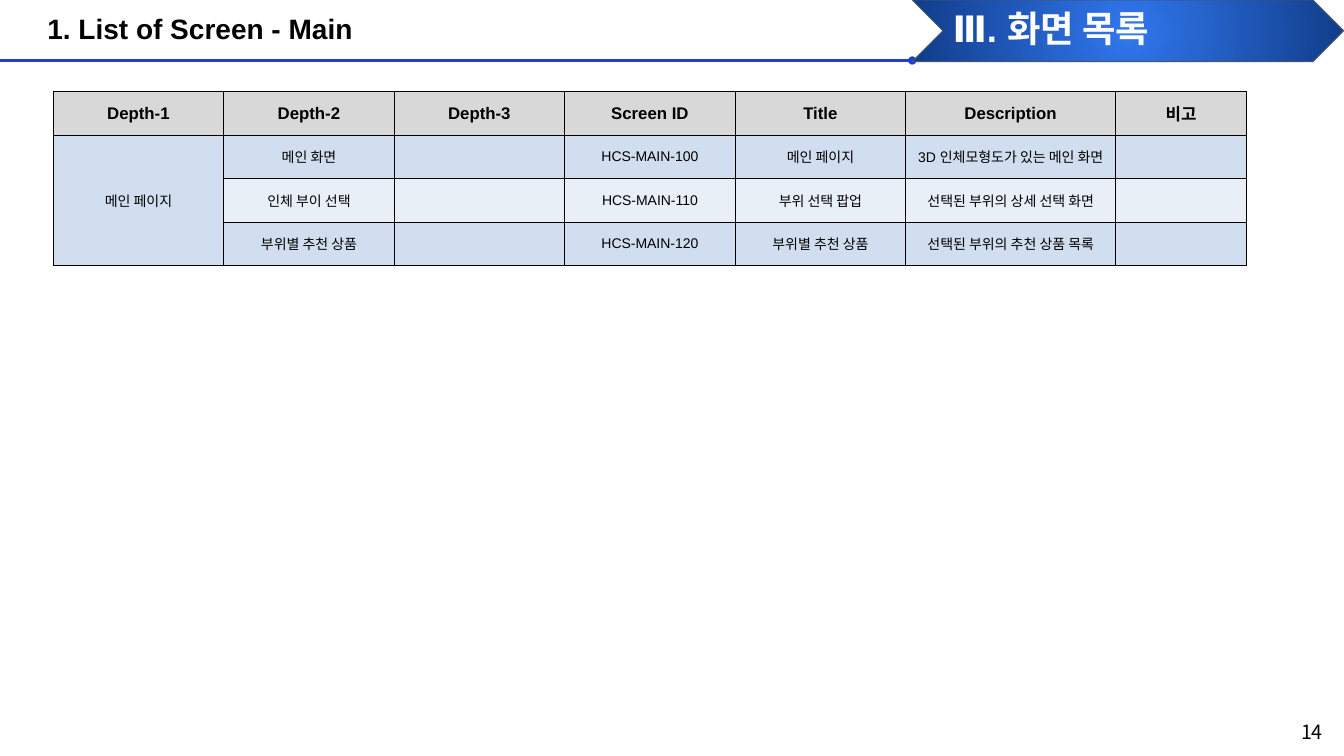
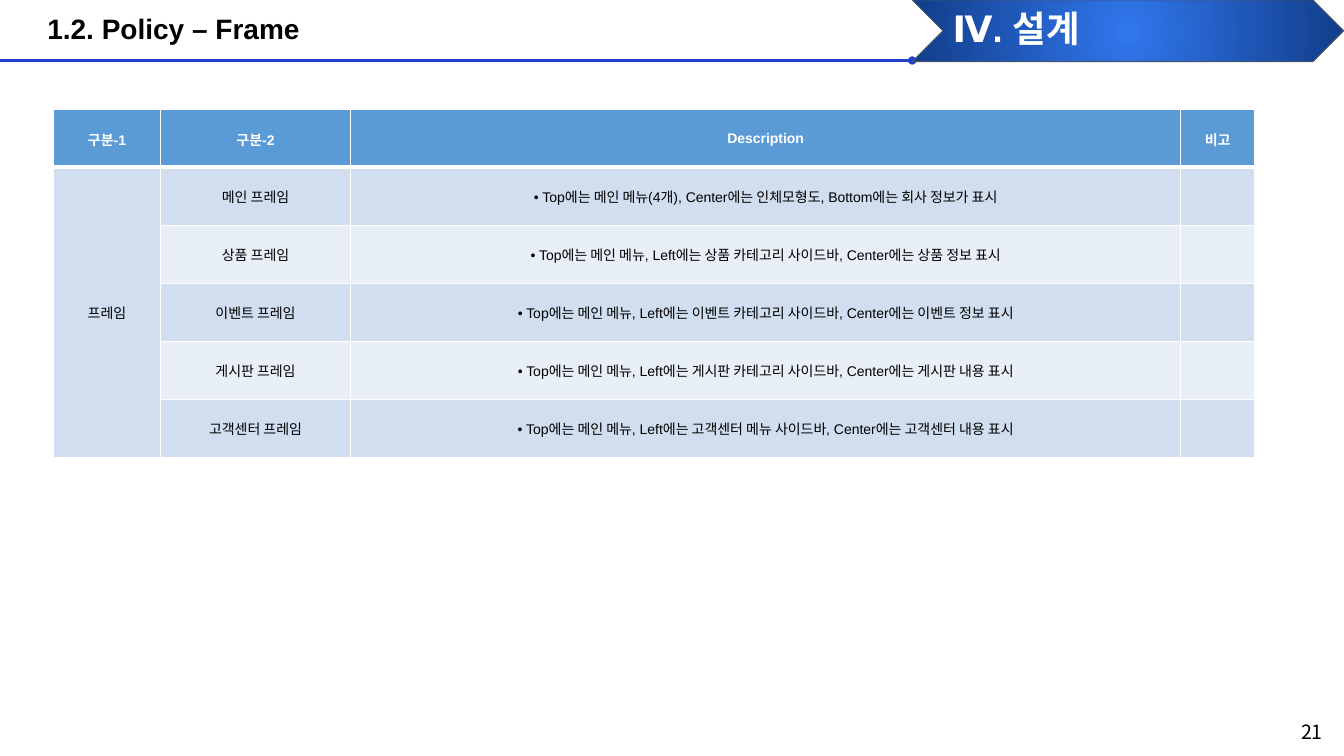
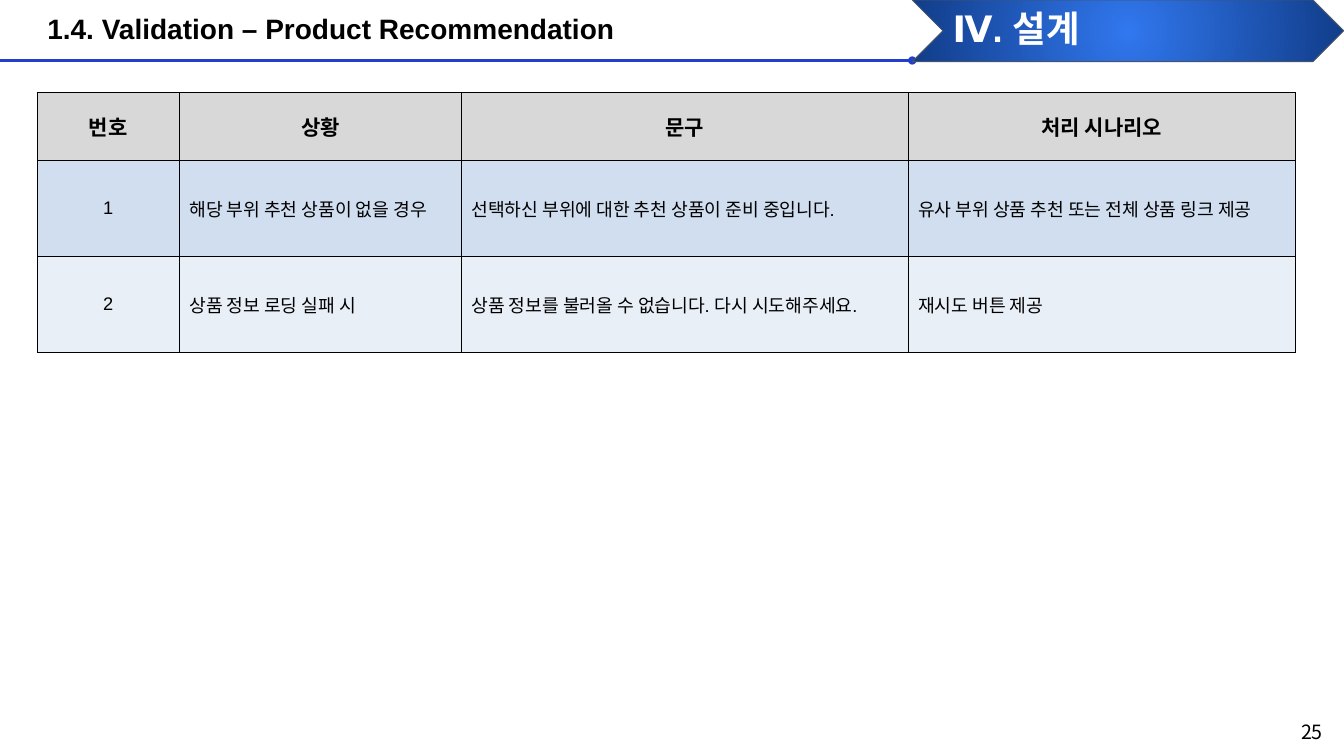
import dataclasses

import lxml.etree
import pptx
import pptx.dml.color
import pptx.enum.shapes
import pptx.enum.text
import pptx.oxml.ns
import pptx.util

Pt = pptx.util.Pt
RGB = pptx.dml.color.RGBColor.from_string
qn = pptx.oxml.ns.qn
Align = pptx.enum.text.PP_ALIGN
Middle = pptx.enum.text.MSO_ANCHOR.MIDDLE


@dataclasses.dataclass(frozen=True)
class Theme:
    latin: str = "Arial"
    asian: str = "Noto Sans CJK KR"
    black: str = "000000"
    white: str = "FFFFFF"
    rule: str = "213FCC"
    glow: str = "3177EE"
    deep: str = "113D8A"
    slate: str = "44546A"
    grey: str = "D8D8D8"
    blue: str = "5B9BD5"
    odd: str = "D0DEEF"
    even: str = "E9EFF7"
    title: int = 20
    mark: int = 26
    page: int = 14


T = Theme()


@dataclasses.dataclass(frozen=True)
class Look:
    head: int
    body: int
    fill: str = T.grey
    ink: str = T.black
    line: str = T.black
    thin: float = 0.75
    thick: float = 0.75
    pad: float = 3.6
    lead: float = 1.0
    left: tuple = ()
    span: bool = False


def add(node, tag, **attrs):
    return lxml.etree.SubElement(node, qn(tag), attrs)


def style(para, size, ink, bold=False, align=Align.LEFT, face=T.latin):
    para.alignment = align
    font = para.font
    font.name, font.size, font.bold = face, Pt(size), bold
    font.color.rgb = RGB(ink)
    add(para._p.pPr.find(qn("a:defRPr")), "a:ea", typeface=T.asian)


def place(shape, left, top, width, height):
    shape.left, shape.top = Pt(left), Pt(top)
    shape.width, shape.height = Pt(width), Pt(height)


def frame(layout):
    for hold in list(layout.placeholders):
        if hold.placeholder_format.idx >= 10:
            hold.element.getparent().remove(hold.element)
    title, mark = layout.placeholders
    place(title, 26.6, 0, 625, 43.2)
    place(mark, 673.2, 0, 286.6, 43.2)


def band(slide, left, width, height):
    rule = slide.shapes.add_connector(
        pptx.enum.shapes.MSO_CONNECTOR.STRAIGHT, 0, Pt(43.2), Pt(left), Pt(43.2))
    rule.line.color.rgb = RGB(T.rule)
    rule.line.width = Pt(1.5)
    props = rule.element.spPr
    add(props.find(qn("a:ln")), "a:tailEnd", type="oval")
    add(props, "a:effectLst")

    arrow = slide.shapes.add_shape(
        pptx.enum.shapes.MSO_SHAPE.CHEVRON, Pt(left), 0, Pt(width), Pt(height))
    arrow.shadow.inherit = False
    arrow.adjustments[0] = 0.5
    arrow.line.color.rgb = RGB(T.slate)
    arrow.line.width = Pt(0.75)
    arrow.fill.gradient()
    for stop, tone in zip(arrow.fill.gradient_stops, (T.glow, T.deep)):
        stop.color.rgb = RGB(tone)
    grad = arrow.element.spPr.find(qn("a:gradFill"))
    grad.remove(grad.find(qn("a:lin")))
    ring = add(grad, "a:path", path="circle")
    add(ring, "a:fillToRect", l="50000", t="50000", r="50000", b="50000")

    tree = slide.slide_layout.shapes.element
    for spot, shape in enumerate((rule, arrow), 2):
        tree.insert(spot, shape.element)


def label(hold, text, size, ink):
    body = hold.text_frame
    body.text = text
    body.auto_size = pptx.enum.text.MSO_AUTO_SIZE.NONE
    body.vertical_anchor = Middle
    para = body.paragraphs[0]
    para.line_spacing = 0.9
    para.space_before = Pt(0)
    props = para._p.get_or_add_pPr()
    props.set("marL", "0")
    props.set("indent", "0")
    add(props, "a:buNone")
    style(para, size, ink, True)


def number(slide, page):
    box = slide.shapes.add_textbox(Pt(922.3), Pt(510.5), Pt(37.7), Pt(24.5))
    box.text_frame.word_wrap = True
    box.text_frame.text = str(page)
    style(box.text_frame.paragraphs[0], T.page, T.black, face=T.asian)


def edge(cell, look, top, low):
    props = cell._tc.get_or_add_tcPr()
    for side, width in zip("LRTB", (look.thin, look.thin, top, low)):
        line = add(props, "a:ln" + side, w=str(Pt(width)))
        add(add(line, "a:solidFill"), "a:srgbClr", val=look.line)


def paint(cell, text, look, row, col):
    head = row == 0
    edge(cell, look, look.thick if row == 1 else look.thin,
         look.thick if head else look.thin)
    cell.fill.solid()
    cell.fill.fore_color.rgb = RGB(
        look.fill if head else T.odd if row % 2 else T.even)
    cell.vertical_anchor = Middle
    cell.margin_left = cell.margin_right = Pt(7.2)
    cell.margin_top = cell.margin_bottom = Pt(look.pad)
    cell.text = text
    para = cell.text_frame.paragraphs[0]
    if head:
        para.line_spacing = look.lead
    style(para, look.head if head else look.body,
          look.ink if head else T.black, head,
          Align.LEFT if not head and col in look.left else Align.CENTER)


def grid(slide, left, top, cols, rows, data, look):
    table = slide.shapes.add_table(
        len(rows), len(cols), Pt(left), Pt(top), Pt(sum(cols)), Pt(sum(rows))).table
    for col, width in zip(table.columns, cols):
        col.width = Pt(width)
    for row, height in zip(table.rows, rows):
        row.height = Pt(height)
    for r, line in enumerate(data):
        for c, text in enumerate(line):
            paint(table.cell(r, c), text, look, r, c)
    if look.span:
        table.cell(1, 0).merge(table.cell(len(rows) - 1, 0))


SCREENS = [
    ("Depth-1", "Depth-2", "Depth-3", "Screen ID", "Title", "Description", "비고"),
    ("메인 페이지", "메인 화면", "", "HCS-MAIN-100", "메인 페이지",
     "3D 인체모형도가 있는 메인 화면", ""),
    ("", "인체 부이 선택", "", "HCS-MAIN-110", "부위 선택 팝업",
     "선택된 부위의 상세 선택 화면", ""),
    ("", "부위별 추천 상품", "", "HCS-MAIN-120", "부위별 추천 상품",
     "선택된 부위의 추천 상품 목록", ""),
]
FRAMES = [
    ("구분-1", "구분-2", "Description", "비고"),
    ("프레임", "메인 프레임",
     "• Top에는 메인 메뉴(4개), Center에는 인체모형도, Bottom에는 회사 정보가 표시", ""),
    ("", "상품 프레임",
     "• Top에는 메인 메뉴, Left에는 상품 카테고리 사이드바, Center에는 상품 정보 표시", ""),
    ("", "이벤트 프레임",
     "• Top에는 메인 메뉴, Left에는 이벤트 카테고리 사이드바, Center에는 이벤트 정보 표시", ""),
    ("", "게시판 프레임",
     "• Top에는 메인 메뉴, Left에는 게시판 카테고리 사이드바, Center에는 게시판 내용 표시", ""),
    ("", "고객센터 프레임",
     "• Top에는 메인 메뉴, Left에는 고객센터 메뉴 사이드바, Center에는 고객센터 내용 표시", ""),
]
CHECKS = [
    ("번호", "상황", "문구", "처리 시나리오"),
    ("1", "해당 부위 추천 상품이 없을 경우",
     "선택하신 부위에 대한 추천 상품이 준비 중입니다.",
     "유사 부위 상품 추천 또는 전체 상품 링크 제공"),
    ("2", "상품 정보 로딩 실패 시",
     "상품 정보를 불러올 수 없습니다. 다시 시도해주세요.", "재시도 버튼 제공"),
]
PLAN = "Ⅳ. 설계"
DECK = [
    ("1. List of Screen - Main", "Ⅲ. 화면 목록", 14,
     (38, 65.3, [121.8] * 5 + [150, 93.6], [31.1] * 4, SCREENS,
      Look(12, 10, span=True))),
    ("1.2. Policy – Frame", PLAN, 21,
     (38.2, 77.8, [76.4, 135.8, 593, 52.8], [41.5] * 6, FRAMES,
      Look(10, 10, T.blue, T.white, T.white, 1, 3, 7.2, 1.15, span=True))),
    ("1.4. Validation – Product Recommendation", PLAN, 25,
     (26.6, 66.2, [101.5, 201.5, 319.2, 276.5], [48.5, 68.6, 68.6], CHECKS,
      Look(15, 13, left=(1, 2, 3)))),
]


def main():
    deck = pptx.Presentation()
    deck.slide_width, deck.slide_height = Pt(960), Pt(540)
    layout = deck.slide_layouts[1]
    frame(layout)
    for spot, (title, mark, page, table) in enumerate(DECK):
        slide = deck.slides.add_slide(layout)
        if spot == 0:
            band(slide, 651.6, 308.2, 44)
        label(slide.shapes.title, title, T.title, T.black)
        label(slide.placeholders[1], mark, T.mark, T.white)
        grid(slide, *table)
        number(slide, page)
    deck.save("out.pptx")


if __name__ == "__main__":
    main()
